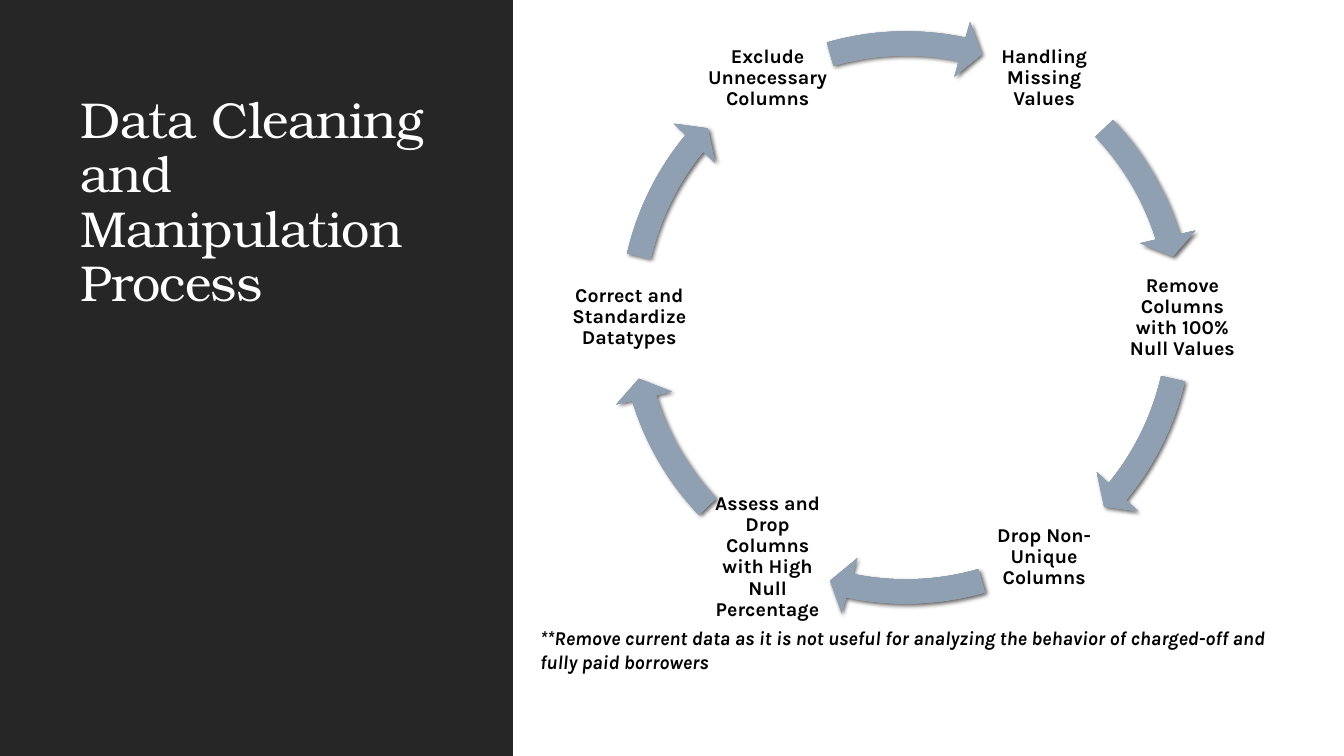
import math

import lxml.etree
import pptx
import pptx.dml.color
import pptx.enum.shapes
import pptx.enum.text
import pptx.oxml
import pptx.oxml.ns
import pptx.util
from pptx.util import Cm

CENTER_X, CENTER_Y = 22.83, 8.0
LABEL_RADIUS = 6.97
LABEL_SIZE = 3.12
RING_SIZE = 15.24

STEPS = [
    "Handling Missing Values",
    "Remove Columns with 100% Null Values",
    "Drop Non-Unique Columns",
    "Assess and Drop Columns with High Null Percentage",
    "Correct and Standardize Datatypes",
    "Exclude Unnecessary Columns",
]
# Start and end angles of the first three arrows; the other three are half a turn on.
ARROW_SPANS = [(316.37, 342.9), (12.93, 39.47), (73.97, 101.87)]
GRADIENT_STOPS = [(0, "8D9CAE"), (34, "8F9EB0"), (70, "90A0B3"), (100, "9AA8B8")]


def color(hex_string):
    return pptx.dml.color.RGBColor.from_string(hex_string)


def add_text(slide, text, left, top, width, height, size=14, font="Karla",
             font_color="000000", bold=False, italic=False, align="LEFT",
             anchor="TOP", line_spacing=None, space_after=0, inset=None,
             letter_spacing=None):
    shape = slide.shapes.add_textbox(Cm(left), Cm(top), Cm(width), Cm(height))
    frame = shape.text_frame
    frame.word_wrap = True
    frame.vertical_anchor = pptx.enum.text.MSO_ANCHOR[anchor]
    if inset is not None:
        frame.margin_left = frame.margin_right = Cm(inset)
        frame.margin_top = frame.margin_bottom = Cm(inset)
    paragraph = frame.paragraphs[0]
    paragraph.alignment = pptx.enum.text.PP_ALIGN[align]
    paragraph.line_spacing = line_spacing
    paragraph.space_after = pptx.util.Pt(space_after)
    run = paragraph.add_run()
    run.text = text
    run.font.name = font
    run.font.size = pptx.util.Pt(size)
    run.font.bold = bold
    run.font.italic = italic
    run.font.color.rgb = color(font_color)
    if letter_spacing is not None:
        run.font._element.set("spc", str(round(letter_spacing * 100)))


def add_side_panel(slide):
    panel = slide.shapes.add_shape(
        pptx.enum.shapes.MSO_SHAPE.RECTANGLE, 0, 0, Cm(12.93), Cm(19.05))
    panel.shadow.inherit = False
    panel.fill.solid()
    panel.fill.fore_color.rgb = color("262626")
    panel.line.fill.background()


def apply_arrow_effects(shape):
    """Give the shape a radial gradient and a soft shadow to the lower right."""
    namespace = pptx.oxml.ns.nsdecls("a")
    stops = "".join(
        f'<a:gs pos="{position * 1000}"><a:srgbClr val="{value}"/></a:gs>'
        for position, value in GRADIENT_STOPS)
    gradient = pptx.oxml.parse_xml(
        f'<a:gradFill {namespace} rotWithShape="1"><a:gsLst>{stops}</a:gsLst>'
        '<a:path path="circle"><a:fillToRect l="100000" t="100000" r="100000" b="100000"/>'
        '</a:path></a:gradFill>')
    properties = shape._element.spPr
    properties.find(pptx.oxml.ns.qn("a:prstGeom")).addnext(gradient)
    effects = properties.find(pptx.oxml.ns.qn("a:effectLst"))
    effects.append(pptx.oxml.parse_xml(
        f'<a:outerShdw {namespace} blurRad="{pptx.util.Pt(3)}" dist="{pptx.util.Pt(2)}" '
        'dir="2700000" rotWithShape="0"><a:srgbClr val="000000">'
        '<a:alpha val="60000"/></a:srgbClr></a:outerShdw>'))


def add_ring_arrow(slide, start, end):
    """Draw one clockwise arc of the ring, between two angles in degrees."""
    arrow = slide.shapes.add_shape(
        pptx.enum.shapes.MSO_SHAPE.CIRCULAR_ARROW,
        Cm(CENTER_X - RING_SIZE / 2), Cm(CENTER_Y - RING_SIZE / 2),
        Cm(RING_SIZE), Cm(RING_SIZE))
    arrow.shadow.inherit = False
    arrow.line.fill.background()
    degree = 0.6  # adjustment units in one degree
    values = (0.04, 4.17 * degree, end * degree, start * degree, 0.047)
    for index, value in enumerate(values):
        arrow.adjustments[index] = value
    apply_arrow_effects(arrow)


def add_step_label(slide, text, angle):
    x = CENTER_X + LABEL_RADIUS * math.cos(math.radians(angle))
    y = CENTER_Y + LABEL_RADIUS * math.sin(math.radians(angle))
    add_text(slide, text, x - LABEL_SIZE / 2, y - LABEL_SIZE / 2,
             LABEL_SIZE, LABEL_SIZE, bold=True, align="CENTER", anchor="MIDDLE",
             line_spacing=0.9, space_after=4.9, inset=0.05)


def add_cycle(slide):
    for index, step in enumerate(STEPS):
        add_step_label(slide, step, -60 + 60 * index)
        half_turn, span = divmod(index, len(ARROW_SPANS))
        start, end = ((angle + 180 * half_turn) % 360 for angle in ARROW_SPANS[span])
        add_ring_arrow(slide, start, end)


def main():
    presentation = pptx.Presentation()
    presentation.slide_width = Cm(33.87)
    presentation.slide_height = Cm(19.05)
    slide = presentation.slides.add_slide(presentation.slide_layouts[6])
    add_side_panel(slide)
    add_text(slide, "Data Cleaning and Manipulation Process", 1.78, 2.18, 9.78, 5.82,
             size=36, font="TeX Gyre Bonum", font_color="FFFFFF", anchor="BOTTOM",
             line_spacing=0.9, letter_spacing=-0.5)
    add_cycle(slide)
    add_text(slide, "**Remove current data as it is not useful for analyzing the behavior "
             "of charged-off and fully paid borrowers", 13.36, 15.65, 19.43, 2.24,
             bold=True, italic=True)
    presentation.save("out.pptx")


if __name__ == "__main__":
    main()
